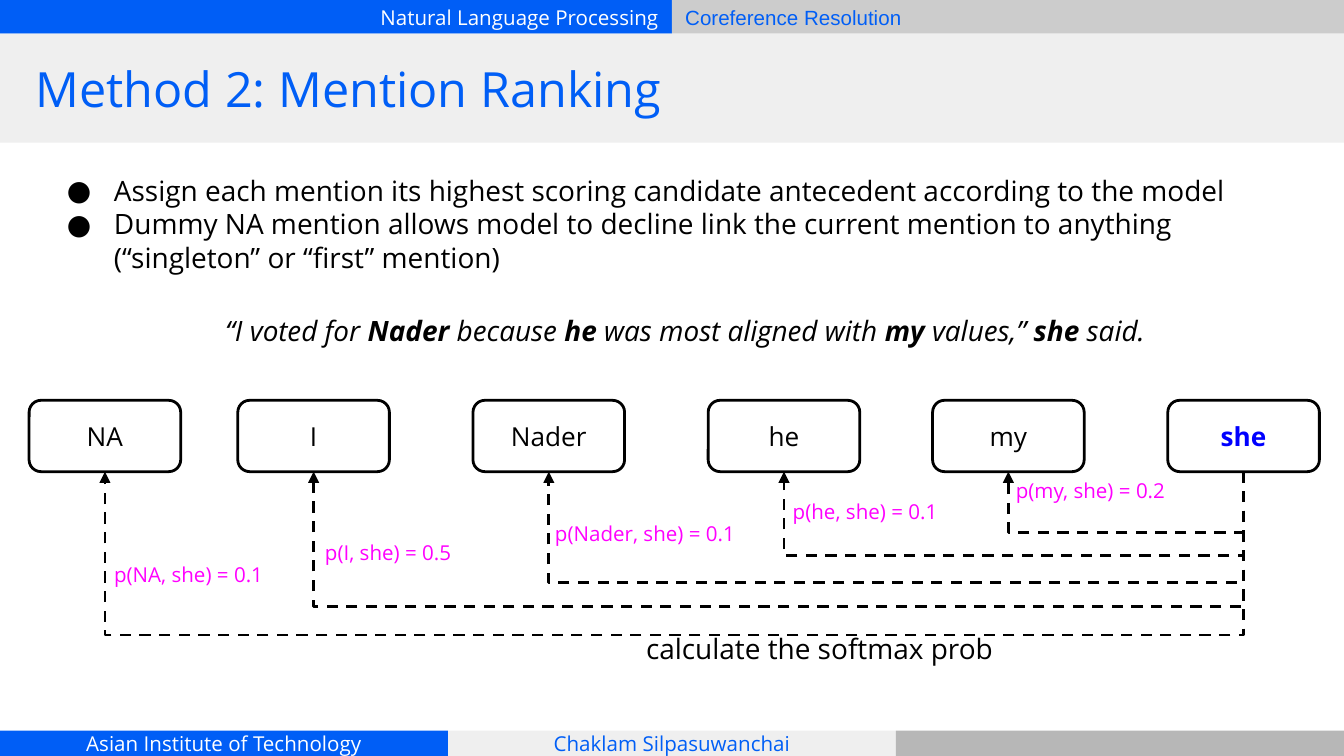
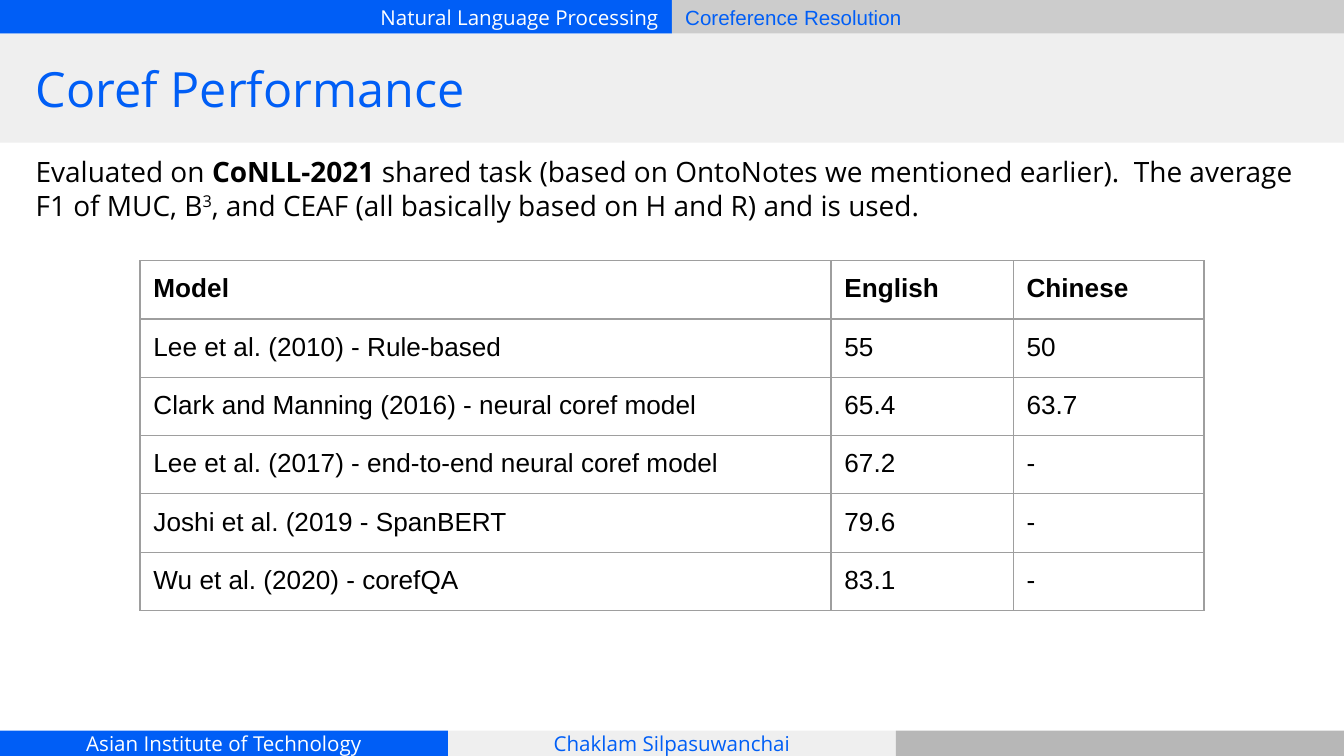
"""Build two lecture slides on coreference resolution."""
from dataclasses import dataclass
from typing import NamedTuple

from lxml import etree
from pptx import Presentation
from pptx.dml.color import RGBColor
from pptx.enum.dml import MSO_LINE
from pptx.enum.shapes import MSO_CONNECTOR as CONN, MSO_SHAPE as SHAPE
from pptx.enum.text import MSO_ANCHOR as ANCHOR, PP_ALIGN as AL
from pptx.oxml.ns import qn
from pptx.util import Pt

COLORS = {
    "blue": "005EF6", "white": "FFFFFF", "black": "000000", "pale": "EFEFEF",
    "silver": "CCCCCC", "gray": "B7B7B7", "border": "9E9E9E",
    "focus": "0000FF", "magenta": "FF00FF",
}
SANS, ARIAL = "Open Sans", "Arial"
WIDTH, HEIGHT = 720, 405
THIRD = WIDTH / 3
HEAD_H, TITLE_H, FOOT_H = 18, 58.5, 13.5
FOOT_Y = HEIGHT - FOOT_H
INSET = 7.2
BOX_Y, BOX_W, BOX_H = 214.5, 81.2, 38.2
ARROW_DROP = 0.05


class Run(NamedTuple):
    text: str
    bold: bool = False
    italic: bool = False
    raised: bool = False


class Style(NamedTuple):
    size: float
    color: str = "black"
    font: str = SANS
    align: AL = AL.LEFT
    anchor: ANCHOR = ANCHOR.TOP


class Rect(NamedTuple):
    x: float
    y: float
    w: float
    h: float


@dataclass
class Band:
    rect: Rect
    fill: str
    text: str = ""
    color: str = "blue"
    align: AL = AL.CENTER
    font: str = SANS


@dataclass
class Candidate:
    word: str
    x: float
    lane: float
    label_x: float
    label_y: float
    prob: str


BODY = Style(15)
TITLE = Style(26, "blue", anchor=ANCHOR.MIDDLE)
LABEL = Style(11, "magenta")
BANDS = [
    Band(Rect(0, 0, WIDTH / 2, HEAD_H), "blue", "Natural Language Processing", "white", AL.RIGHT),
    Band(Rect(WIDTH / 2, 0, WIDTH / 2, HEAD_H), "silver", "Coreference Resolution",
         align=AL.LEFT, font=ARIAL),
    Band(Rect(0, FOOT_Y, THIRD, FOOT_H), "blue", "Asian Institute of Technology", "white"),
    Band(Rect(THIRD, FOOT_Y, THIRD, FOOT_H), "pale", "Chaklam Silpasuwanchai"),
    Band(Rect(2 * THIRD, FOOT_Y, THIRD, FOOT_H), "gray"),
    Band(Rect(0, HEAD_H, WIDTH, TITLE_H), "pale"),
]
CANDIDATES = [
    Candidate("NA", 15.6, 77.2, 54, 294.5, "0.1"),
    Candidate("I", 127.4, 63.6, 167, 282.7, "0.5"),
    Candidate("Nader", 253.4, 52.5, 290.2, 272.6, "0.1"),
    Candidate("he", 379.4, 39.6, 417.6, 260.6, "0.1"),
    Candidate("my", 499.6, 28.6, 537.1, 249.2, "0.2"),
]
MENTION, MENTION_X = "she", 625.6
BULLETS = [
    "Assign each mention its highest scoring candidate antecedent according to the model",
    "Dummy NA mention allows model to decline link the current mention to anything "
    "(“singleton” or “first” mention)",
]
QUOTE = [
    Run("“I voted for ", italic=True), Run("Nader", True, True),
    Run(" because ", italic=True), Run("he", True, True),
    Run(" was most aligned with ", italic=True), Run("my", True, True),
    Run(" values,” ", italic=True), Run("she", True, True),
    Run(" said.", italic=True),
]
EVALUATION = [
    Run("Evaluated on "), Run("CoNLL-2021 ", True),
    Run("shared task (based on OntoNotes we mentioned earlier).  The average F1 of MUC, B"),
    Run("3", raised=True),
    Run(", and CEAF (all basically based on H and R) and is used."),
]
SCORES = [
    ("Model", "English", "Chinese"),
    ("Lee et al. (2010) - Rule-based", "55", "50"),
    ("Clark and Manning (2016) - neural coref model", "65.4", "63.7"),
    ("Lee et al. (2017) - end-to-end neural coref model", "67.2", "-"),
    ("Joshi et al. (2019 - SpanBERT", "79.6", "-"),
    ("Wu et al. (2020) - corefQA", "83.1", "-"),
]
SCORE_COLS, SCORE_ROW = (370.2, 97.6, 102.2), 30.1


def rgb(name: str) -> RGBColor:
    """Return a named colour."""
    return RGBColor.from_string(COLORS[name])


def points(rect: Rect) -> list:
    """Convert a rectangle to lengths."""
    return [Pt(v) for v in rect]


def add_color(parent, name: str) -> None:
    """Append a colour value to an XML element."""
    etree.SubElement(parent, qn("a:srgbClr"), val=COLORS[name])


def add_runs(p, runs: list[Run], style: Style) -> None:
    """Fill a paragraph run by run."""
    p.alignment = style.align
    for run in runs:
        r = p.add_run()
        r.text = run.text
        f = r.font
        f.name, f.size = style.font, Pt(style.size)
        f.bold, f.italic = run.bold, run.italic
        f.color.rgb = rgb(style.color)
        if run.raised:
            r._r.get_or_add_rPr().set("baseline", "30000")


def add_bullet(p) -> None:
    """Give a paragraph a hanging round bullet."""
    pPr = p._p.get_or_add_pPr()
    pPr.set("marL", str(Pt(36)))
    pPr.set("indent", str(Pt(-25.2)))
    add_color(etree.SubElement(pPr, qn("a:buClr")), "black")
    etree.SubElement(pPr, qn("a:buFont"), typeface=SANS)
    etree.SubElement(pPr, qn("a:buChar"), char="●")


def fill_text(sp, paragraphs: list[list[Run]], style: Style, bullets: bool = False) -> None:
    """Write paragraphs into a shape."""
    tf = sp.text_frame
    tf.word_wrap = True
    tf.vertical_anchor = style.anchor
    tf.margin_left = tf.margin_right = tf.margin_top = tf.margin_bottom = Pt(INSET)
    for i, runs in enumerate(paragraphs):
        p = tf.add_paragraph() if i else tf.paragraphs[0]
        if bullets:
            add_bullet(p)
        add_runs(p, runs, style)


def add_text(s, rect: Rect, paragraphs: list[list[Run]], style: Style,
             bullets: bool = False) -> None:
    """Add a text box."""
    fill_text(s.shapes.add_textbox(*points(rect)), paragraphs, style, bullets)


def add_box(s, kind: SHAPE, rect: Rect, fill: str):
    """Add a flat filled shape without an outline."""
    sp = s.shapes.add_shape(kind, *points(rect))
    sp.shadow.inherit = False
    sp.fill.solid()
    sp.fill.fore_color.rgb = rgb(fill)
    sp.line.fill.background()
    return sp


def add_slide(prs, title: str):
    """Add a slide with the shared bands and a title."""
    s = prs.slides.add_slide(prs.slide_layouts[6])
    for band in BANDS:
        sp = add_box(s, SHAPE.RECTANGLE, band.rect, band.fill)
        if band.text:
            style = Style(11, band.color, band.font, band.align, ANCHOR.MIDDLE)
            fill_text(sp, [[Run(band.text)]], style)
    add_text(s, Rect(12, HEAD_H, 696, TITLE_H), [[Run(title)]], TITLE)
    return s


def add_mention(s, word: str, x: float, focus: bool = False) -> None:
    """Add a rounded box holding one mention."""
    sp = add_box(s, SHAPE.ROUNDED_RECTANGLE, Rect(x, BOX_Y, BOX_W, BOX_H), "white")
    sp.line.color.rgb = rgb("black")
    sp.line.width = Pt(1.5)
    style = Style(14, "focus" if focus else "black", align=AL.CENTER, anchor=ANCHOR.MIDDLE)
    fill_text(sp, [[Run(word, focus)]], style)


def add_link(s, candidate: Candidate) -> None:
    """Add a dashed elbow arrow from the current mention to a candidate."""
    span = MENTION_X - candidate.x
    x = (MENTION_X + candidate.x + BOX_W - ARROW_DROP) / 2
    y = BOX_Y + BOX_H - span / 2
    left, top = Pt(x), Pt(y)
    c = s.shapes.add_connector(CONN.ELBOW, left, top, left + Pt(ARROW_DROP), top + Pt(span))
    c.line.color.rgb = rgb("black")
    c.line.width = Pt(1.5)
    c.line.dash_style = MSO_LINE.DASH
    etree.SubElement(c.line._get_or_add_ln(), qn("a:tailEnd"), type="triangle")
    spPr = c._element.spPr
    spPr.find(qn("a:xfrm")).set("rot", "5400000")
    guides = spPr.find(qn("a:prstGeom")).find(qn("a:avLst"))
    bend = round(candidate.lane / ARROW_DROP * 100000)
    etree.SubElement(guides, qn("a:gd"), name="adj1", fmla=f"val {bend}")
    etree.SubElement(spPr, qn("a:effectLst"))


def add_borders(cell) -> None:
    """Draw thin lines on all sides of a cell."""
    tcPr = cell._tc.get_or_add_tcPr()
    for i, side in enumerate(("lnL", "lnR", "lnT", "lnB")):
        ln = etree.Element(qn(f"a:{side}"), w=str(Pt(0.75)))
        add_color(etree.SubElement(ln, qn("a:solidFill")), "border")
        tcPr.insert(i, ln)


def add_scores(s) -> None:
    """Add the table of model scores."""
    rect = Rect(75, 139.6, sum(SCORE_COLS), SCORE_ROW * len(SCORES))
    table = s.shapes.add_table(len(SCORES), len(SCORE_COLS), *points(rect)).table
    table.first_row = table.horz_banding = False
    for column, width in zip(table.columns, SCORE_COLS):
        column.width = Pt(width)
    for i, values in enumerate(SCORES):
        table.rows[i].height = Pt(SCORE_ROW)
        for j, value in enumerate(values):
            cell = table.cell(i, j)
            cell.margin_left = cell.margin_right = Pt(INSET)
            cell.margin_top = cell.margin_bottom = Pt(INSET)
            cell.fill.background()
            add_borders(cell)
            add_runs(cell.text_frame.paragraphs[0], [Run(value, i == 0)], Style(14, font=ARIAL))


def build_ranking(prs) -> None:
    """Build the mention ranking slide."""
    s = add_slide(prs, "Method 2: Mention Ranking")
    add_text(s, Rect(18, 85.6, 690, 100), [[Run(t)] for t in BULLETS], BODY, bullets=True)
    add_text(s, Rect(26, 161, 682, 44), [QUOTE], BODY._replace(align=AL.CENTER))
    add_mention(s, MENTION, MENTION_X, focus=True)
    for c in CANDIDATES:
        add_mention(s, c.word, c.x)
        add_link(s, c)
    add_text(s, Rect(339, 331, 217.4, 32.4), [[Run("calculate the softmax prob")]], BODY)
    for c in CANDIDATES:
        label = f"p({c.word}, {MENTION}) = {c.prob}"
        add_text(s, Rect(c.label_x, c.label_y, 114.5, 27.4), [[Run(label)]], LABEL)


def build_performance(prs) -> None:
    """Build the performance slide."""
    s = add_slide(prs, "Coref Performance")
    add_scores(s)
    add_text(s, Rect(12, 75.6, 708, 52), [EVALUATION], BODY)


def main() -> None:
    """Build and save the deck."""
    prs = Presentation()
    prs.slide_width, prs.slide_height = Pt(WIDTH), Pt(HEIGHT)
    build_ranking(prs)
    build_performance(prs)
    prs.save("out.pptx")


if __name__ == "__main__":
    main()
